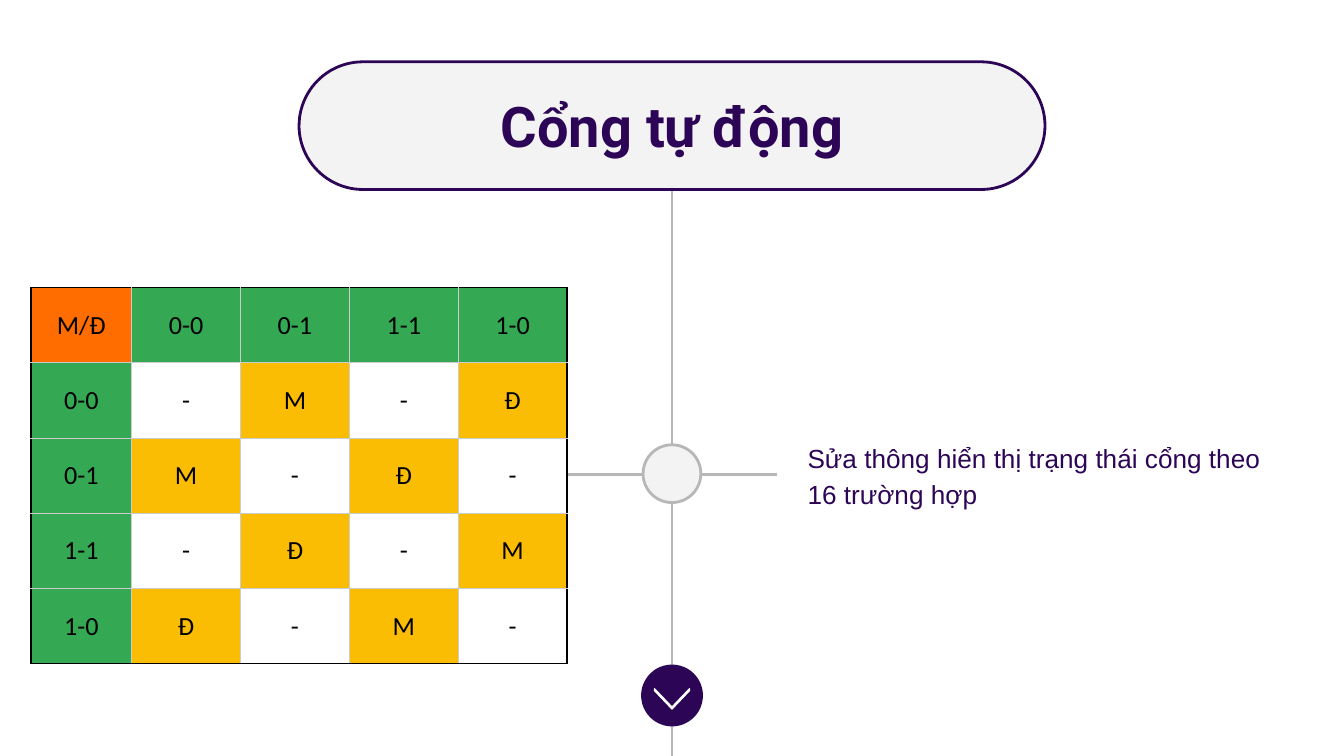
from dataclasses import dataclass

from lxml import etree
from pptx import Presentation
from pptx.dml.color import RGBColor
from pptx.enum.shapes import MSO_CONNECTOR, MSO_SHAPE
from pptx.enum.text import MSO_ANCHOR, MSO_AUTO_SIZE, PP_ALIGN
from pptx.oxml.ns import qn
from pptx.util import Inches, Pt


@dataclass(frozen=True)
class Theme:
    purple: str = "2D0557"
    panel: str = "F3F3F3"
    gray: str = "B7B7B7"
    grid: str = "CCCCCC"
    black: str = "000000"
    white: str = "FFFFFF"
    orange: str = "FF6D01"
    green: str = "34A853"
    yellow: str = "FBBC04"
    title_size: int = 30
    text_size: int = 14


theme = Theme()
rgb = RGBColor.from_string
slide_width = 10
center = slide_width / 2


def add_centered_shape(shapes, kind, top, width, height, fill, line, line_width):
    """Add a filled shape centred across the slide."""
    box = (center - width / 2, top, width, height)
    shape = shapes.add_shape(kind, *map(Inches, box))
    shape.shadow.inherit = False
    shape.fill.solid()
    shape.fill.fore_color.rgb = rgb(fill)
    shape.line.color.rgb = rgb(line)
    shape.line.width = Pt(line_width)
    return shape


def add_gray_line(shapes, start, end):
    line = shapes.add_connector(MSO_CONNECTOR.STRAIGHT, *map(Inches, start + end))
    line.line.color.rgb = rgb(theme.gray)
    line.line.width = Pt(1.5)
    etree.SubElement(line._element.spPr, qn("a:effectLst"))


presentation = Presentation()
presentation.slide_width = Inches(slide_width)
presentation.slide_height = Inches(slide_width * 9 / 16)
slide = presentation.slides.add_slide(presentation.slide_layouts[5])
shapes = slide.shapes
title = shapes.title

# Title pill and the lines behind it
add_gray_line(shapes, (center, 1.21), (center, 5.77))
pill = add_centered_shape(shapes, MSO_SHAPE.ROUNDED_RECTANGLE, 0.46, 5.55, 0.95,
                          theme.panel, theme.purple, 1.5)
pill.adjustments[0] = 0.5
add_gray_line(shapes, (4.21, 3.53), (5.78, 3.53))

# Title and description
description = shapes.add_textbox(*map(Inches, (5.91, 3.16, 3.79, 0.77)))
title.left, title.top, title.width, title.height = map(Inches, (2.79, 0.49, 4.42, 0.88))
shapes._spTree.append(title._element)  # bring the title in front of the pill

texts = [
    (title, "Cổng tự động", "Roboto", theme.title_size, True, PP_ALIGN.CENTER, MSO_ANCHOR.MIDDLE),
    (description, "Sửa thông hiển thị trạng thái cổng theo 16 trường hợp",
     "Arial", theme.text_size, False, PP_ALIGN.LEFT, MSO_ANCHOR.TOP),
]
for shape, text, font_name, size, bold, alignment, anchor in texts:
    frame = shape.text_frame
    frame.text = text
    frame.word_wrap = True
    frame.auto_size = MSO_AUTO_SIZE.NONE
    frame.vertical_anchor = anchor
    frame.margin_left = frame.margin_right = Inches(0.1)
    frame.margin_top = frame.margin_bottom = Inches(0.1)
    paragraph = frame.paragraphs[0]
    paragraph.alignment = alignment
    paragraph.font.name = font_name
    paragraph.font.size = Pt(size)
    paragraph.font.bold = bold
    paragraph.font.color.rgb = rgb(theme.purple)
description.text_frame.paragraphs[0].line_spacing = 1.15
description.text_frame.paragraphs[0].space_after = Pt(16)

# Timeline node and down-arrow button
add_centered_shape(shapes, MSO_SHAPE.OVAL, 3.31, 0.43, 0.43, theme.panel, theme.gray, 1.5)
button = shapes.add_group_shape()
add_centered_shape(button.shapes, MSO_SHAPE.OVAL, 4.95, 0.45, 0.45,
                   theme.purple, theme.purple, 0.75)
chevron = add_centered_shape(button.shapes, MSO_SHAPE.CHEVRON, 5.07, 0.15, 0.26,
                             theme.white, theme.white, 0.75)
chevron.adjustments[0] = 0.91
chevron.rotation = 90

# Gate state table
rows = [
    ["M/Đ", "0-0", "0-1", "1-1", "1-0"],
    ["0-0", "-", "M", "-", "Đ"],
    ["0-1", "M", "-", "Đ", "-"],
    ["1-1", "-", "Đ", "-", "M"],
    ["1-0", "Đ", "-", "M", "-"],
]
last = len(rows) - 1
table = shapes.add_table(len(rows), len(rows), *map(Inches, (0.23, 2.14, 3.99, 2.8))).table
table.first_row = table.horz_banding = False
for index, column in enumerate(table.columns):
    column.width = Inches(0.81 if index else 0.75)
for row in table.rows:
    row.height = Inches(0.56)

for row_index, row in enumerate(rows):
    for column_index, text in enumerate(row):
        cell = table.cell(row_index, column_index)
        cell.text = text
        cell.vertical_anchor = MSO_ANCHOR.MIDDLE
        cell.margin_left = cell.margin_right = Inches(0.03)
        cell.margin_top = cell.margin_bottom = Inches(0.02)
        paragraph = cell.text_frame.paragraphs[0]
        paragraph.alignment = PP_ALIGN.CENTER
        paragraph.font.name = "Calibri"
        paragraph.font.size = Pt(theme.text_size)
        paragraph.font.color.rgb = rgb(theme.black)

        # Borders come before the fill in the cell properties
        outer_edges = {"lnL": column_index == 0, "lnR": column_index == last,
                       "lnT": row_index == 0, "lnB": row_index == last}
        for tag, is_outer in outer_edges.items():
            border = etree.SubElement(cell._tc.get_or_add_tcPr(), qn(f"a:{tag}"), w=str(Pt(0.75)))
            fill = etree.SubElement(border, qn("a:solidFill"))
            etree.SubElement(fill, qn("a:srgbClr"), val=theme.black if is_outer else theme.grid)

        if text == "-":
            cell.fill.background()
            continue
        cell.fill.solid()
        if row_index == column_index == 0:
            color = theme.orange
        elif row_index == 0 or column_index == 0:
            color = theme.green
        else:
            color = theme.yellow
        cell.fill.fore_color.rgb = rgb(color)

presentation.save("out.pptx")
